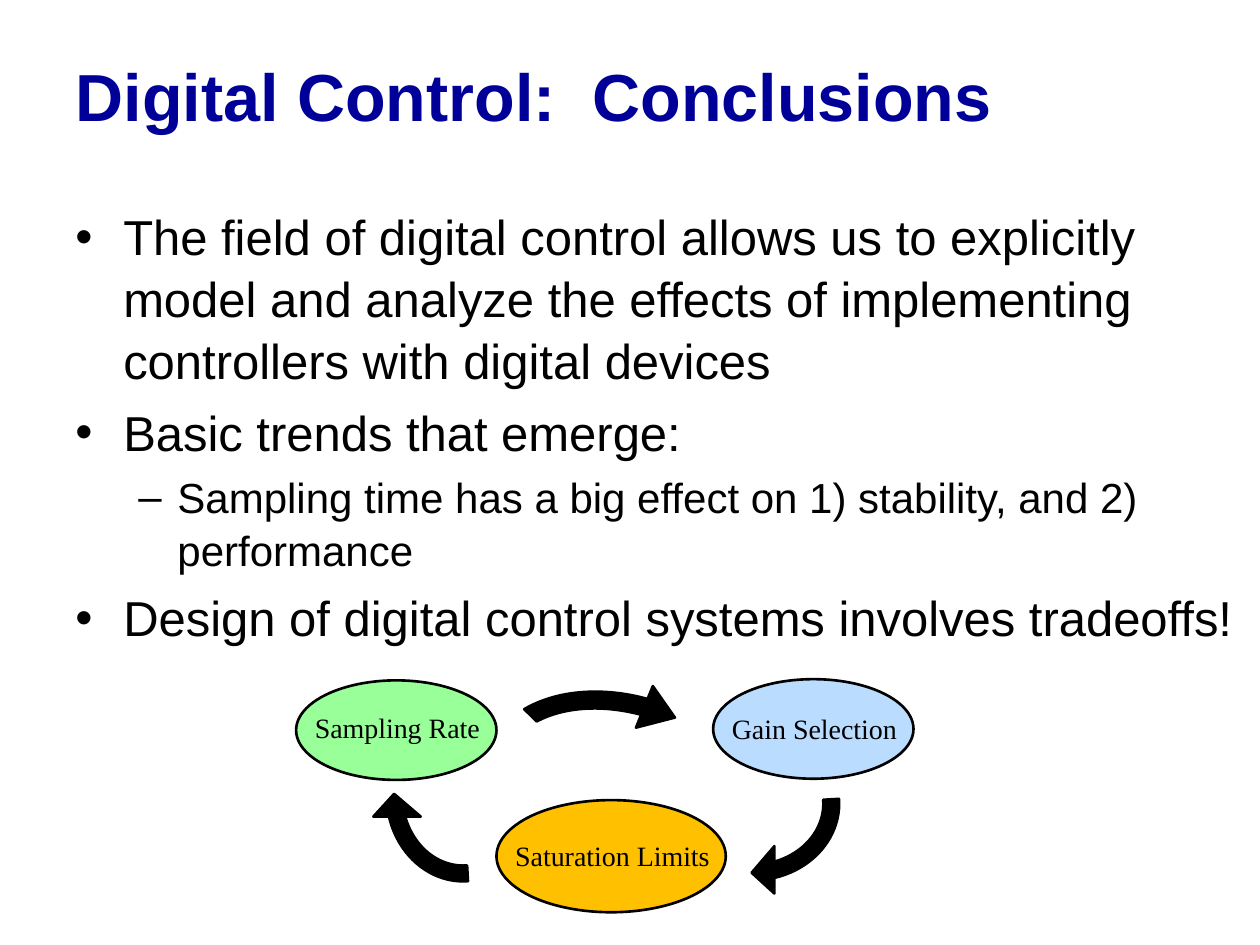
import pptx
import pptx.util
import pptx.dml.color
import pptx.enum.shapes
import pptx.enum.text
from lxml import etree

Inches, Pt = pptx.util.Inches, pptx.util.Pt
RGB = pptx.dml.color.RGBColor
MSO = pptx.enum.shapes.MSO_SHAPE
PP_ALIGN = pptx.enum.text.PP_ALIGN
ANCHOR = pptx.enum.text.MSO_ANCHOR
COLORS = {"navy": "000099", "black": "000000", "green": "99FF99",
          "blue": "B9DCFF", "amber": "FFC000"}


def add_text(p, text, size, font="Arial", color="black", bold=False):
    p.alignment = PP_ALIGN.LEFT
    r = p.add_run()
    r.text = text
    r.font.name, r.font.size, r.font.bold = font, Pt(size), bold
    r.font.color.rgb = RGB.from_string(COLORS[color])


def add_outlined(s, kind, box, color):
    sp = s.shapes.add_shape(kind, *map(Inches, box))
    sp.shadow.inherit = False
    sp.fill.solid()
    sp.fill.fore_color.rgb = RGB.from_string(COLORS[color])
    sp.line.color.rgb = RGB.from_string(COLORS["black"])
    sp.line.width = Pt(1.5)
    return sp


prs = pptx.Presentation()
prs.slide_width, prs.slide_height = Inches(10), Inches(7.5)
s = prs.slides.add_slide(prs.slide_layouts[5])

title = s.shapes.title
title.left, title.top = Inches(0.5), Inches(0.25)
title.width, title.height = Inches(8.97), Inches(1)
title.text_frame.vertical_anchor = ANCHOR.MIDDLE
add_text(title.text_frame.paragraphs[0], "Digital Control:  Conclusions", 38,
         color="navy", bold=True)

# Bulleted conclusions: (level, text)
points = [
    (0, "The field of digital control allows us to explicitly model and "
        "analyze the effects of implementing controllers with digital devices"),
    (0, "Basic trends that emerge:"),
    (1, "Sampling time has a big effect on 1) stability, and 2) performance"),
    (0, "Design of digital control systems involves tradeoffs!"),
]
# Per level: size, bullet, left margin, hanging indent
levels = [(28, "•", 0.38, -0.38), (24, "–", 0.81, -0.31)]
tf = s.shapes.add_textbox(Inches(0.5), Inches(1.57), Inches(9.52), Inches(5.42)).text_frame
tf.word_wrap = True
for i, (level, text) in enumerate(points):
    size, bullet, margin, indent = levels[level]
    p = tf.paragraphs[0] if i == 0 else tf.add_paragraph()
    p.level = level
    p.line_spacing = 1.05
    p.space_before = Pt(0.2 * size)
    add_text(p, text, size)
    pPr = p._p.get_or_add_pPr()
    pPr.set("marL", str(Inches(margin)))
    pPr.set("indent", str(Inches(indent)))
    ns = pPr.nsmap["a"]
    etree.SubElement(pPr, f"{{{ns}}}buFont").set("typeface", "Arial")
    etree.SubElement(pPr, f"{{{ns}}}buChar").set("char", bullet)

# Tradeoff cycle: label, colour, ellipse box, label box
factors = [
    ("Sampling Rate", "green", (2.35, 5.4, 1.59, 0.79), (2.4, 5.59, 1.54, 0.37)),
    ("Gain Selection", "blue", (5.66, 5.39, 1.59, 0.79), (5.71, 5.6, 1.54, 0.37)),
    ("Saturation Limits", "amber", (3.94, 6.35, 1.82, 0.89), (3.99, 6.61, 1.87, 0.37)),
]
for label, color, ellipse, box in factors:
    add_outlined(s, MSO.OVAL, ellipse, color)
    tf = s.shapes.add_textbox(*map(Inches, box)).text_frame
    tf.word_wrap = True
    add_text(tf.paragraphs[0], label, 16, font="Times New Roman")

side_bend = (0.085, 11.423, 204.577, 160.066, 0.128)
top_bend = (0.065, 10.122, 203.919, 173.58, 0.086)
arrows = [
    ((2.94, 5.48, 1.47, 1.64), 180, side_bend),
    ((4, 5.09, 2.07, 2.8), 295.3, top_bend),
    ((5.23, 5.56, 1.47, 1.64), 90, side_bend),
]
for box, rotation, bend in arrows:
    sp = add_outlined(s, MSO.CIRCULAR_ARROW, box, "black")
    sp.rotation = rotation
    for i, value in enumerate(bend):
        sp.adjustments[i] = value

prs.save("out.pptx")
